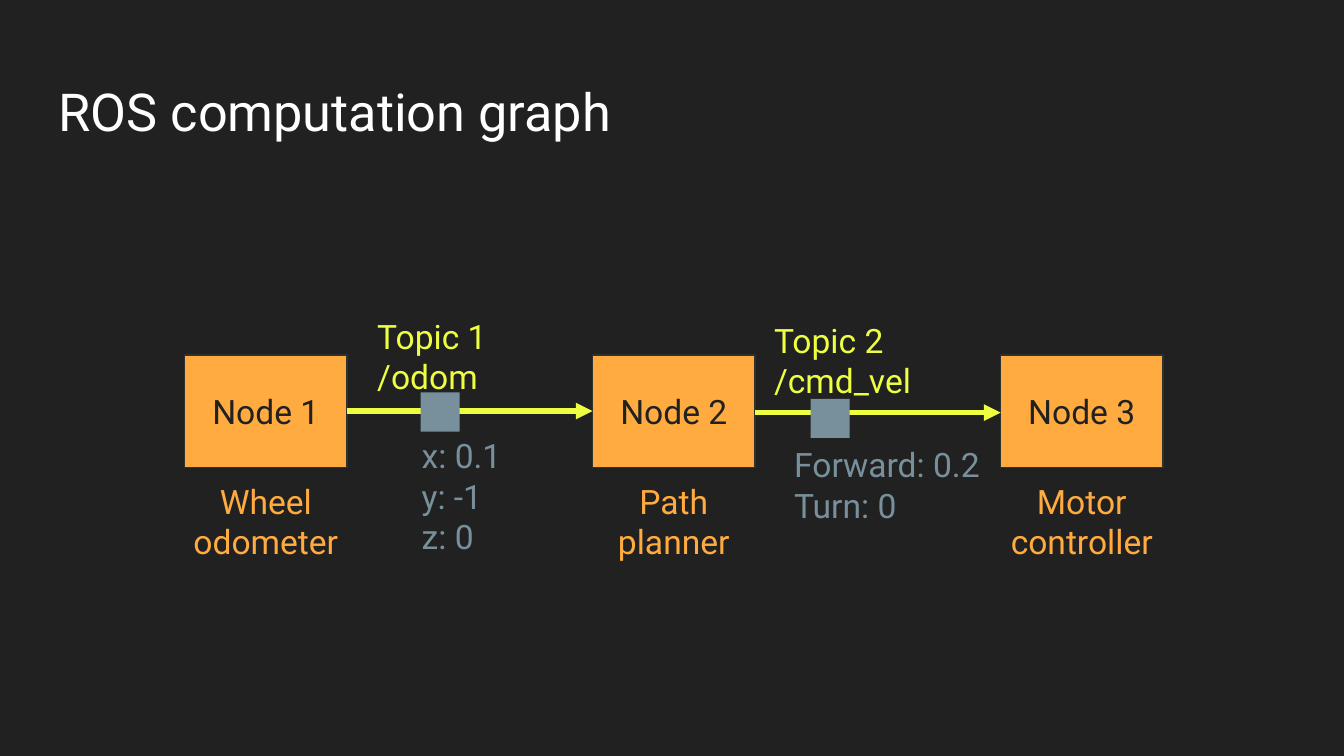
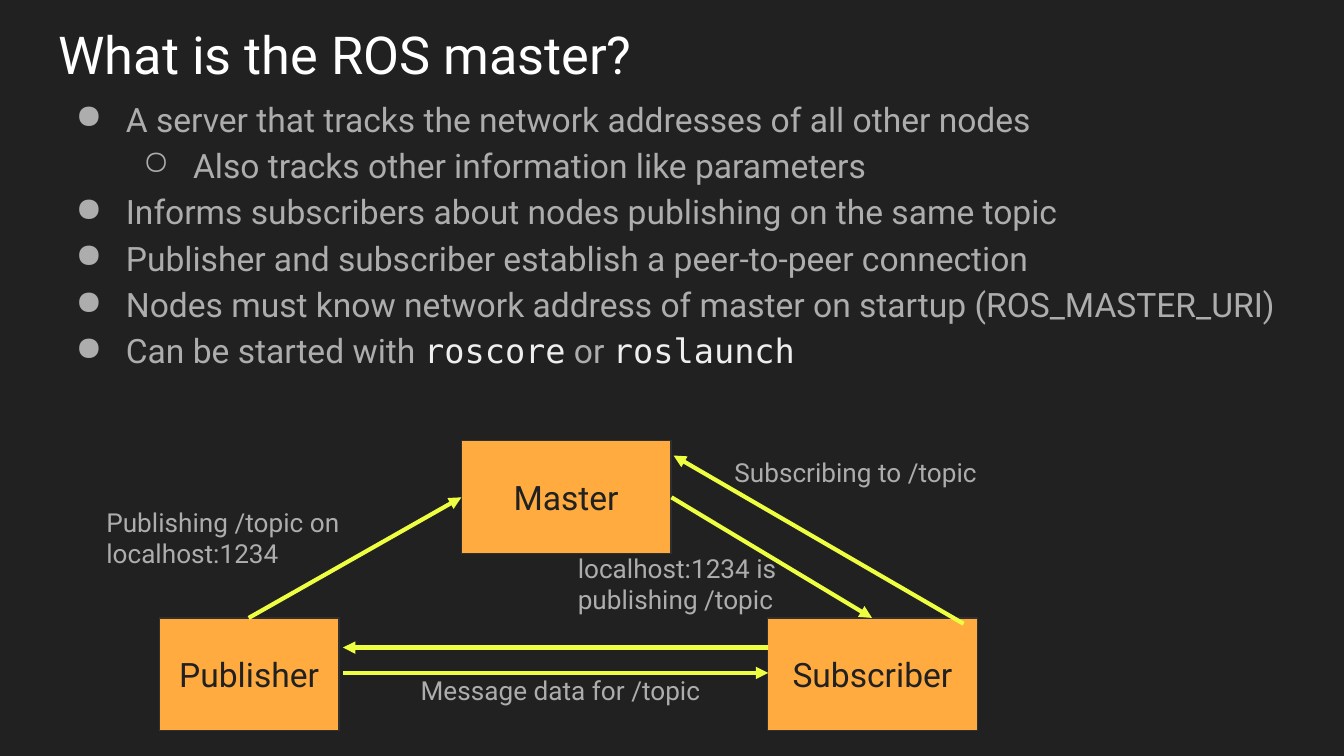
from lxml import etree
from pptx import Presentation
from pptx.dml.color import RGBColor
from pptx.enum.shapes import MSO_CONNECTOR, MSO_SHAPE
from pptx.enum.text import MSO_ANCHOR, PP_ALIGN
from pptx.oxml.ns import qn
from pptx.util import Cm, Pt

LEFT, CENTER = PP_ALIGN.LEFT, PP_ALIGN.CENTER
TOP, MIDDLE = MSO_ANCHOR.TOP, MSO_ANCHOR.MIDDLE
RECT, STRAIGHT = MSO_SHAPE.RECTANGLE, MSO_CONNECTOR.STRAIGHT

DARK = RGBColor(0x21, 0x21, 0x21)
EDGE = RGBColor(0x30, 0x30, 0x30)
WHITE = RGBColor(0xFF, 0xFF, 0xFF)
PALE = RGBColor(0xEE, 0xEE, 0xEE)
GRAY = RGBColor(0xAD, 0xAD, 0xAD)
ORANGE = RGBColor(0xFF, 0xAB, 0x40)
YELLOW = RGBColor(0xEE, 0xFF, 0x41)
SLATE = RGBColor(0x78, 0x90, 0x9C)

FONT, MONO = "Roboto", "DejaVu Sans Mono"
INSET = 0.25
EDGE_X, WIDE = 0.86, 23.67
NODE_H = 2.13

# Each bullet: level, then runs of (text, is code)
POINTS = [
    (0, [("A server that tracks the network addresses of all other nodes", False)]),
    (1, [("Also tracks other information like parameters", False)]),
    (0, [("Informs subscribers about nodes publishing on the same topic", False)]),
    (0, [("Publisher and subscriber establish a peer-to-peer connection", False)]),
    (0, [("Nodes must know network address of master on startup "
          "(ROS_MASTER_URI)", False)]),
    (0, [("Can be started with ", False), ("roscore", True),
         (" or ", False), ("roslaunch", True)]),
]


def style(run, size, color, font=FONT):
    """Set the font of one run."""
    run.font.name = font
    run.font.size = Pt(size)
    run.font.color.rgb = color


def frame(shape, anchor=TOP):
    """Set insets, wrap and anchor, and return the text frame."""
    body = shape.text_frame
    body.word_wrap = True
    body.vertical_anchor = anchor
    body.margin_left = body.margin_right = Cm(INSET)
    body.margin_top = body.margin_bottom = Cm(INSET)
    return body


def write(shape, text, size=18, color=GRAY, align=LEFT, anchor=TOP):
    """Fill a shape with text, one paragraph a line."""
    body = frame(shape, anchor)
    for i, line in enumerate(text.split("\n")):
        para = body.paragraphs[0] if i == 0 else body.add_paragraph()
        para.alignment = align
        run = para.add_run()
        run.text = line
        style(run, size, color)


def label(slide, text, x, y, w, h, **form):
    """Add a text box."""
    box = slide.shapes.add_textbox(Cm(x), Cm(y), Cm(w), Cm(h))
    write(box, text, **form)


def block(slide, x, y, w, h, fill):
    """Add a plain rectangle without a line."""
    shape = slide.shapes.add_shape(RECT, Cm(x), Cm(y), Cm(w), Cm(h))
    shape.shadow.inherit = False
    shape.fill.solid()
    shape.fill.fore_color.rgb = fill
    shape.line.fill.background()
    return shape


def node(slide, text, x, y, w):
    """Add an orange node with its name."""
    shape = block(slide, x, y, w, NODE_H, ORANGE)
    shape.line.color.rgb = EDGE
    shape.line.width = Pt(0.75)
    write(shape, text, color=DARK, align=CENTER, anchor=MIDDLE)


def arrow(slide, start, end, width=2.25):
    """Add a yellow arrow that points at its end."""
    link = slide.shapes.add_connector(STRAIGHT, *map(Cm, start + end))
    link.line.color.rgb = YELLOW
    link.line.width = Pt(width)
    head = etree.SubElement(link.line._get_or_add_ln(), qn("a:tailEnd"))
    head.set("type", "triangle")
    etree.SubElement(link._element.spPr, qn("a:effectLst"))


def mark(para, level):
    """Give a paragraph its bullet and indent."""
    para.level = level
    props = para._p.get_or_add_pPr()
    props.set("marL", str(Cm(1.27 * (level + 1))))
    props.set("indent", str(-Cm(0.95)))
    tint = etree.SubElement(props, qn("a:buClr"))
    etree.SubElement(tint, qn("a:srgbClr")).set("val", str(GRAY))
    etree.SubElement(props, qn("a:buChar")).set("char", "●○"[level])


def bullets(slide, points, y, h):
    """Add the list of bullets."""
    box = slide.shapes.add_textbox(Cm(EDGE_X), Cm(y), Cm(WIDE), Cm(h))
    body = frame(box)
    for i, (level, runs) in enumerate(points):
        para = body.paragraphs[0] if i == 0 else body.add_paragraph()
        para.line_spacing = 1.15
        mark(para, level)
        for text, code in runs:
            run = para.add_run()
            run.text = text
            style(run, 18, PALE if code else GRAY, MONO if code else FONT)


def start(deck, title, y):
    """Add a dark slide with its title."""
    slide = deck.slides.add_slide(deck.slide_layouts[6])
    slide.background.fill.solid()
    slide.background.fill.fore_color.rgb = DARK
    label(slide, title, EDGE_X, y, WIDE, 1.6, size=28, color=WHITE)
    return slide


def graph(deck):
    """Build the slide with nodes and topics."""
    slide = start(deck, "ROS computation graph", 1.24)
    left, top, wide, step = 3.49, 6.71, 3.07, 7.71
    roles = ["Wheel odometer", "Path planner", "Motor controller"]
    for i, role in enumerate(roles):
        x = left + i * step
        node(slide, f"Node {i + 1}", x, top, wide)
        label(slide, role, x - 0.33, top + NODE_H, 3.73, 1.85,
              color=ORANGE, align=CENTER)

    for i, y in enumerate([7.77, 7.8]):
        x = left + i * step
        arrow(slide, (x + wide, y), (x + step, y), width=3)

    topics = [
        ("Topic 1\n/odom", (6.88, 5.72), (7.95, 7.42),
         "x: 0.1\ny: -1\nz: 0", (7.72, 7.98)),
        ("Topic 2\n/cmd_vel", (14.38, 5.79), (15.32, 7.54),
         "Forward: 0.2\nTurn: 0", (14.76, 8.15)),
    ]
    for name, spot, dot, data, below in topics:
        label(slide, name, *spot, 3.6, 1.83, color=YELLOW)
        block(slide, *dot, 0.74, 0.74, SLATE)
        label(slide, data, *below, 4.14, 2.72, color=SLATE)


def master(deck):
    """Build the slide on the master and its messages."""
    slide = start(deck, "What is the ROS master?", 0.18)
    bullets(slide, POINTS, 1.5, 6.65)

    node(slide, "Publisher", 3.01, 11.68, 3.4)
    node(slide, "Subscriber", 14.51, 11.68, 3.96)
    node(slide, "Master", 8.72, 8.33, 3.96)

    links = [
        ((4.7, 11.68), (8.72, 9.4)),
        ((18.21, 11.79), (12.73, 8.61)),
        ((12.69, 9.4), (16.48, 11.68)),
        ((14.52, 12.24), (6.48, 12.24)),
        ((6.48, 12.72), (14.52, 12.72)),
    ]
    for tail, tip in links:
        arrow(slide, tail, tip)

    notes = [
        ("Publishing /topic on localhost:1234", 1.76, 9.32, 5.38, 1.57),
        ("Subscribing to /topic", 13.63, 8.37, 5.38, 1.17),
        ("localhost:1234 is publishing /topic", 10.67, 10.19, 5.38, 1.17),
        ("Message data for /topic", 7.7, 12.5, 6.02, 1.42),
    ]
    for note in notes:
        label(slide, *note, size=14)


def main():
    """Build and save the deck."""
    deck = Presentation()
    deck.slide_width, deck.slide_height = Cm(25.4), Cm(14.29)
    graph(deck)
    master(deck)
    deck.save("out.pptx")


main()
